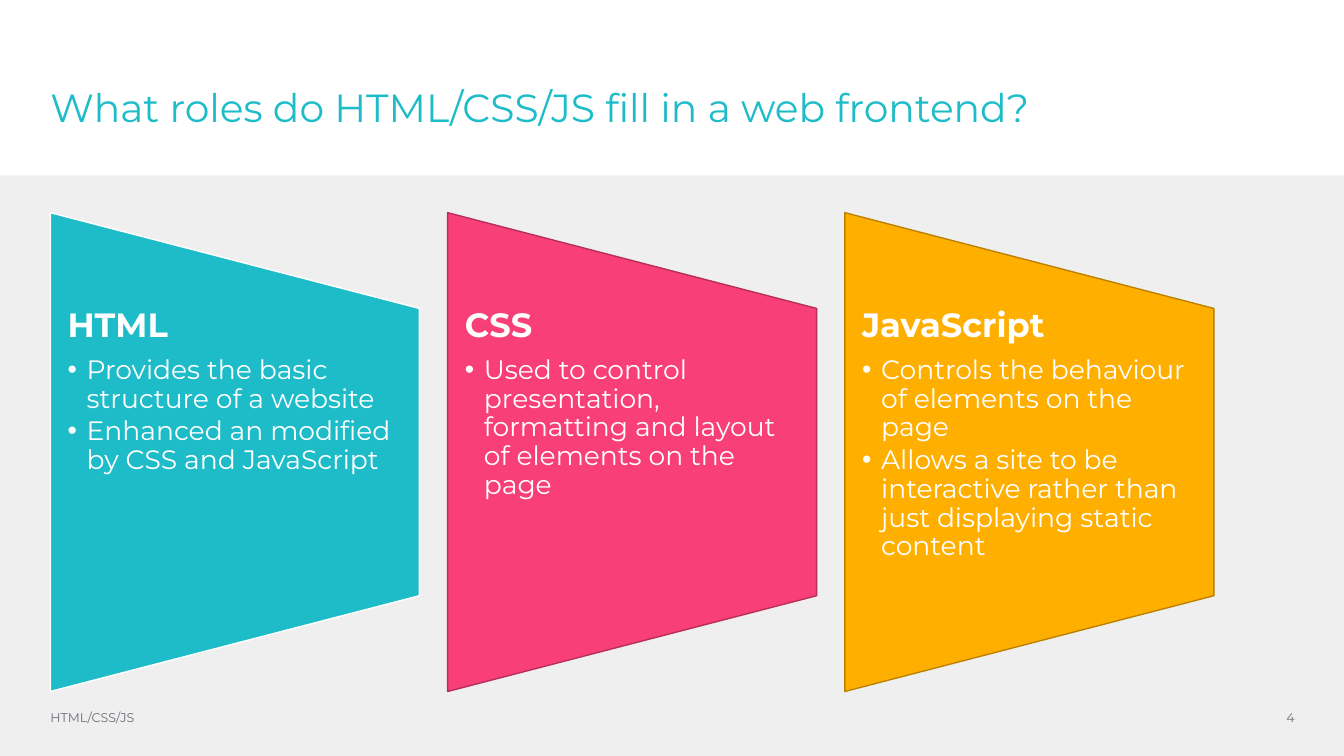
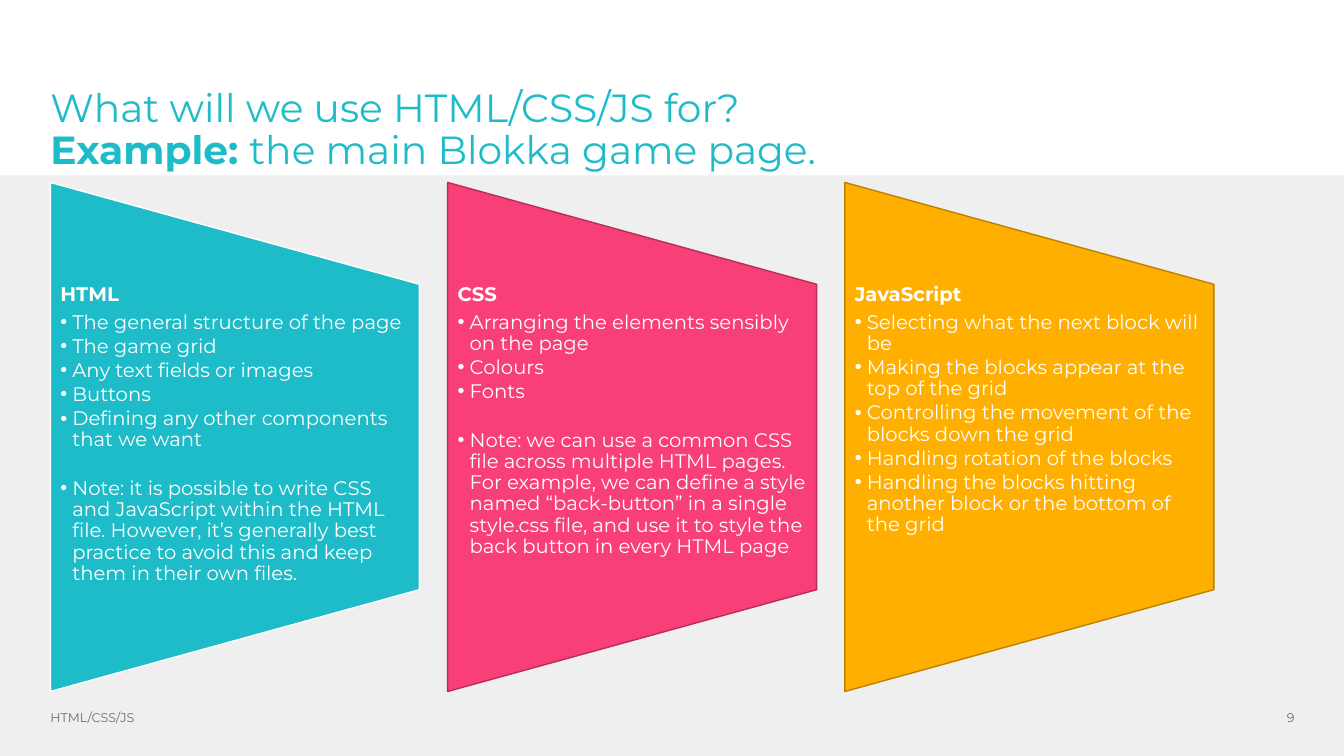
from dataclasses import dataclass

from lxml import etree
from pptx import Presentation
from pptx.dml.color import RGBColor
from pptx.enum.shapes import MSO_SHAPE
from pptx.enum.text import MSO_ANCHOR, PP_ALIGN
from pptx.oxml.ns import qn
from pptx.util import Inches, Pt

RECTANGLE = MSO_SHAPE.RECTANGLE
TRAPEZOID = MSO_SHAPE.FLOWCHART_MANUAL_OPERATION
TOP, MIDDLE = MSO_ANCHOR.TOP, MSO_ANCHOR.MIDDLE
LEFT, RIGHT = PP_ALIGN.LEFT, PP_ALIGN.RIGHT


@dataclass(frozen=True)
class Theme:
    font: str = "Montserrat"
    title_color: str = "1EBCC8"
    band_color: str = "EFEFEF"
    footer_color: str = "6D6F78"
    panel_text: str = "FFFFFF"
    # Fill and outline of each panel, left to right
    panels: tuple = (("1EBCC8", "FFFFFF"), ("F83F78", "B72F59"), ("FFAF00", "BD8100"))
    title_size: int = 28
    footer_size: int = 9


THEME = Theme()
MARGIN = 0.5
PANEL_WIDTH, PANEL_PITCH, PANEL_BOTTOM = 3.66, 3.94, 6.86
TEXT_SHARE = 0.6  # part of the panel height that holds text
LINE_SPACING = 0.9
HEADING_GAP, BULLET_GAP = 0.35, 0.15  # space after, as a share of the type size
NOTE_GAP = 1.25  # space before a note, as a share of the type size


def add_shape(slide, kind, left, top, width, height, fill, outline=None):
    shape = slide.shapes.add_shape(kind, Inches(left), Inches(top), Inches(width), Inches(height))
    shape.shadow.inherit = False
    shape.fill.solid()
    shape.fill.fore_color.rgb = RGBColor.from_string(fill)
    if outline:
        shape.line.color.rgb = RGBColor.from_string(outline)
        shape.line.width = Pt(1)
    else:
        shape.line.fill.background()
    return shape


def add_text(slide, box, paragraphs, *, size, color, anchor=TOP, align=LEFT, inset=0,
             heading_size=None, indent=0):
    """Each paragraph is a string or a list of (text, bold) runs.

    With heading_size, the first paragraph is a heading and the rest are bullets.
    """
    frame = slide.shapes.add_textbox(*map(Inches, box)).text_frame
    frame.word_wrap = True
    frame.vertical_anchor = anchor
    frame.margin_left = frame.margin_right = Inches(inset)
    frame.margin_top = frame.margin_bottom = 0
    for index, content in enumerate(paragraphs):
        para = frame.paragraphs[0] if index == 0 else frame.add_paragraph()
        para.alignment = align
        is_heading = bool(heading_size) and index == 0
        runs = [(content, is_heading)] if isinstance(content, str) else content
        for text, bold in runs:
            span = para.add_run()
            span.text = text
            span.font.name = THEME.font
            span.font.size = Pt(heading_size if is_heading else size)
            span.font.bold = bold
            span.font.color.rgb = RGBColor.from_string(color)
        if anchor == TOP:
            para.line_spacing = LINE_SPACING
        if is_heading:
            para.space_after = Pt(heading_size * HEADING_GAP)
        elif heading_size:
            para.space_after = Pt(size * BULLET_GAP)
            if runs[0][0].startswith("Note:"):
                para.space_before = Pt(size * NOTE_GAP)
            properties = para._p.get_or_add_pPr()
            properties.set("marL", str(Inches(indent)))
            properties.set("indent", str(-Inches(indent)))
            etree.SubElement(properties, qn("a:buFont")).set("typeface", "Arial")
            etree.SubElement(properties, qn("a:buChar")).set("char", "•")


# Slide content
PAGES = [
    {
        "number": "4",
        "title": ["What roles do HTML/CSS/JS fill in a web frontend?"],
        "panel_top": 2.11,
        "format": {"heading_size": 24, "size": 19, "indent": 0.19, "inset": 0.17},
        "panels": [
            ["HTML",
             "Provides the basic structure of a website",
             "Enhanced an modified by CSS and JavaScript"],
            ["CSS",
             "Used to control presentation, formatting and layout of elements on the page"],
            ["JavaScript",
             "Controls the behaviour of elements on the page",
             "Allows a site to be interactive rather than just displaying static content"],
        ],
    },
    {
        "number": "9",
        "title": ["What will we use HTML/CSS/JS for?",
                  [("Example: ", True), ("the main Blokka game page.", False)]],
        "panel_top": 1.81,
        "format": {"heading_size": 14, "size": 14, "indent": 0.12, "inset": 0.1},
        "panels": [
            ["HTML",
             "The general structure of the page",
             "The game grid",
             "Any text fields or images",
             "Buttons",
             "Defining any other components that we want",
             "Note: it is possible to write CSS and JavaScript within the HTML file. "
             "However, it’s generally best practice to avoid this and keep them in "
             "their own files."],
            ["CSS",
             "Arranging the elements sensibly on the page",
             "Colours",
             "Fonts",
             "Note: we can use a common CSS file across multiple HTML pages. For example, "
             "we can define a style named “back-button” in a single style.css file, and "
             "use it to style the back button in every HTML page"],
            ["JavaScript",
             "Selecting what the next block will be",
             "Making the blocks appear at the top of the grid",
             "Controlling the movement of the blocks down the grid",
             "Handling rotation of the blocks",
             "Handling the blocks hitting another block or the bottom of the grid"],
        ],
    },
]

deck = Presentation()
deck.slide_width, deck.slide_height = Inches(13.33), Inches(7.5)

for page in PAGES:
    slide = deck.slides.add_slide(deck.slide_layouts[6])

    # Band, title and footer
    add_shape(slide, RECTANGLE, 0, 1.74, 13.33, 5.76, THEME.band_color)
    add_text(slide, (MARGIN, 0.88, 11.54, 1.24), page["title"],
             size=THEME.title_size, color=THEME.title_color)
    footer = {"size": THEME.footer_size, "color": THEME.footer_color, "anchor": MIDDLE}
    add_text(slide, (MARGIN, 6.99, 9.11, 0.25), ["HTML/CSS/JS"], **footer)
    add_text(slide, (12.04, 6.99, 0.8, 0.25), [page["number"]], align=RIGHT, **footer)

    # Panels: trapezoids turned on their side, with text across the middle
    panel_top = page["panel_top"]
    panel_height = PANEL_BOTTOM - panel_top
    turn_shift = (panel_height - PANEL_WIDTH) / 2
    text_height = panel_height * TEXT_SHARE
    text_top = panel_top + (panel_height - text_height) / 2
    for column, (lines, (fill, outline)) in enumerate(zip(page["panels"], THEME.panels)):
        left = MARGIN + column * PANEL_PITCH
        panel = add_shape(slide, TRAPEZOID, left - turn_shift, panel_top + turn_shift,
                          panel_height, PANEL_WIDTH, fill, outline)
        panel.rotation = 270
        add_text(slide, (left, text_top, PANEL_WIDTH, text_height), lines,
                 color=THEME.panel_text, **page["format"])

deck.save("out.pptx")
